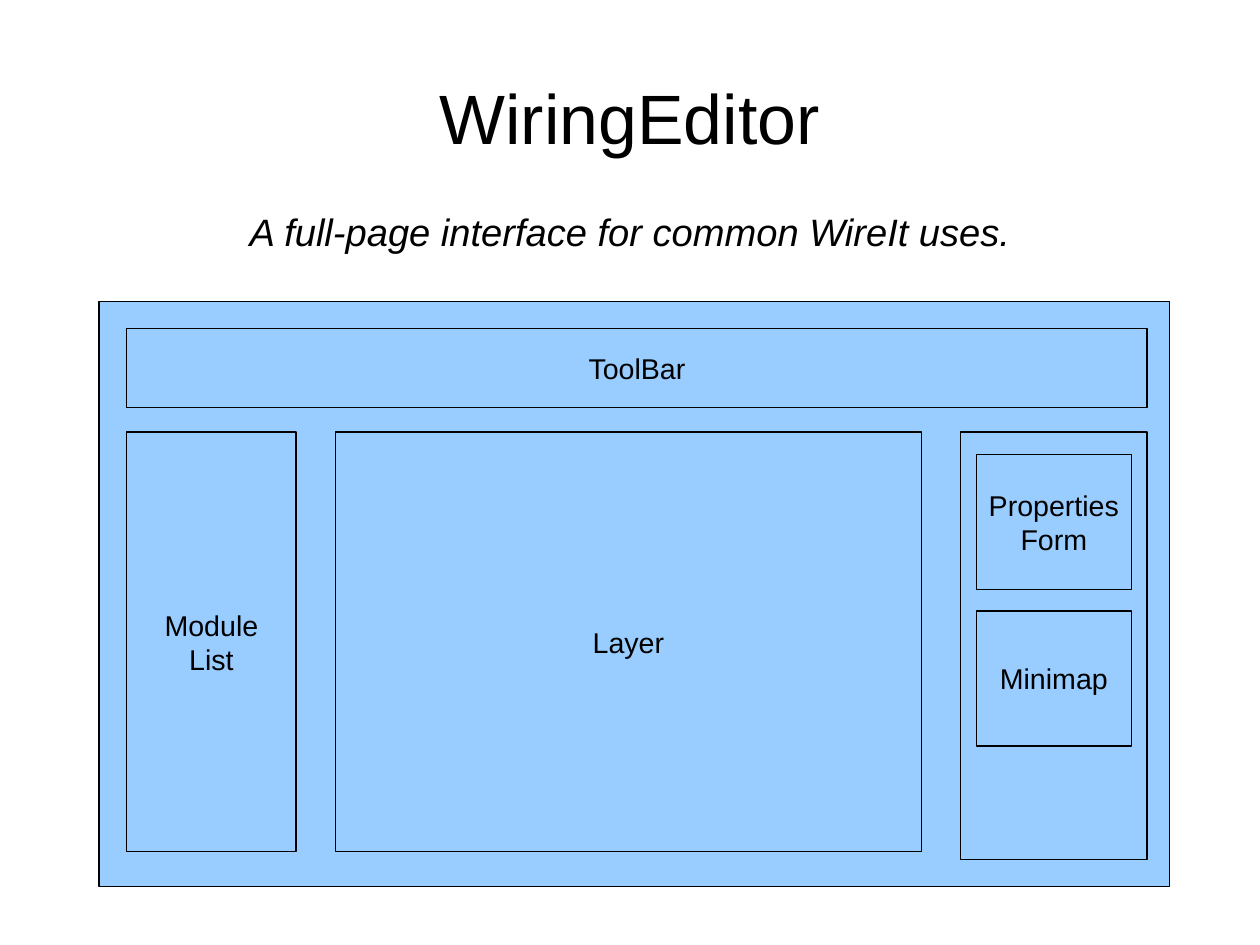
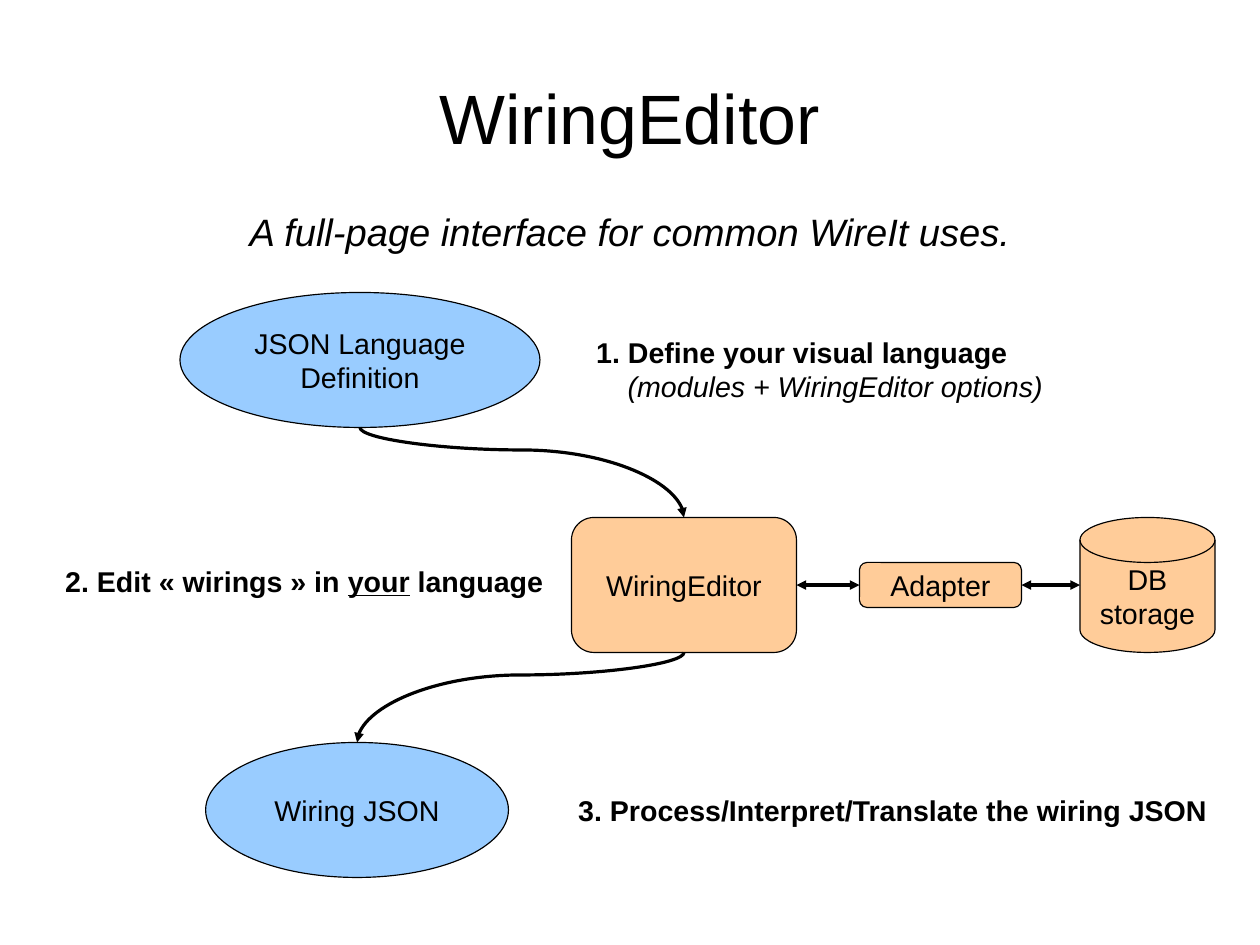
from dataclasses import dataclass

from lxml.etree import SubElement
from pptx import Presentation
from pptx.dml.color import RGBColor
from pptx.enum.shapes import MSO_CONNECTOR as LINE, MSO_SHAPE as SHAPE
from pptx.enum.text import MSO_ANCHOR as ANCHOR, MSO_AUTO_SIZE as AUTOSIZE, PP_ALIGN as ALIGN
from pptx.oxml.ns import qn
from pptx.util import Cm, Pt


@dataclass(frozen=True)
class Theme:
    """Colours, font and type sizes of the deck."""

    ink: RGBColor = RGBColor(0, 0, 0)
    blue: RGBColor = RGBColor(0x99, 0xCC, 0xFF)
    orange: RGBColor = RGBColor(0xFF, 0xCC, 0x99)
    font: str = "Arial"
    title: int = 44
    subtitle: int = 24
    body: int = 18


THEME = Theme()
COLS, ROWS = 28, 21
SLIDE_W, SLIDE_H = Cm(COLS), Cm(ROWS)
BOLD = {"bold": True}
ITALIC = {"italic": True}


def grid(col, row):
    """Return the slide position of a grid column and row."""
    return round(SLIDE_W * col / COLS), round(SLIDE_H * row / ROWS)


def place(left, top, width, height):
    """Return a grid rectangle as slide lengths."""
    return (*grid(left, top), *grid(width, height))


def write(tf, paragraphs, size, align):
    """Fill a text frame with paragraphs given as lists of (text, format) runs."""
    for i, runs in enumerate(paragraphs):
        p = tf.add_paragraph() if i else tf.paragraphs[0]
        p.alignment = align
        for text, extra in runs:
            r = p.add_run()
            r.text = text
            r.font.color.rgb = THEME.ink
            for name, value in {"name": THEME.font, "size": Pt(size), **extra}.items():
                setattr(r.font, name, value)


def add_text(s, area, paragraphs, size=THEME.body, align=ALIGN.LEFT):
    """Add a wrapped text box and return its text frame."""
    tf = s.shapes.add_textbox(*place(*area)).text_frame
    tf.word_wrap = True
    write(tf, paragraphs, size, align)
    return tf


def add_box(s, kind, area, fill, label=""):
    """Add an outlined shape with a centred label."""
    sp = s.shapes.add_shape(kind, *place(*area))
    sp.shadow.inherit = False
    sp.fill.solid()
    sp.fill.fore_color.rgb = fill
    sp.line.color.rgb = THEME.ink
    sp.line.width = Pt(0)
    if label:
        sp.text_frame.vertical_anchor = ANCHOR.MIDDLE
        lines = [[(line, {})] for line in label.split("\n")]
        write(sp.text_frame, lines, THEME.body, ALIGN.CENTER)
    return sp


def add_arrow(s, kind, start, end, heads):
    """Add a hairline connector with triangles at the named ends."""
    c = s.shapes.add_connector(kind, *start, *end)
    c.line.color.rgb = THEME.ink
    c.line.width = Pt(0)
    ln = c.line._get_or_add_ln()
    for head in heads:
        SubElement(ln, qn(f"a:{head}"), type="triangle")
    SubElement(c._element.spPr, qn("a:effectLst"))
    return c


def link_sideways(s, left, right, joined=True):
    """Draw a two-way arrow from one shape's right side to another's left side."""
    y = left.top + left.height // 2
    c = add_arrow(s, LINE.STRAIGHT, (left.left + left.width, y), (right.left, y),
                  ("headEnd", "tailEnd"))
    c.begin_connect(left, 3)
    if joined:
        c.end_connect(right, 1)


def curve_down(s, upper, lower):
    """Draw a curved arrow from a shape's bottom to a lower shape's top."""
    x1, y1 = upper.left + upper.width // 2, upper.top + upper.height
    x2, y2 = lower.left + lower.width // 2, lower.top
    c = add_arrow(s, LINE.CURVE, (0, 0), (1, 1), ("tailEnd",))
    drop, span = y2 - y1, abs(x2 - x1)
    box = {"left": (x1 + x2 - drop) // 2, "top": (y1 + y2 - span) // 2,
           "width": drop, "height": span, "rotation": 270 if x2 > x1 else 90}
    xfrm = c._element.spPr.find(qn("a:xfrm"))
    if x2 > x1:
        xfrm.set("flipH", "1")
    xfrm.set("rot", str(box.pop("rotation") * 60000))
    for name, value in box.items():
        setattr(c, name, value)
    guides = c._element.spPr.find(qn("a:prstGeom")).get_or_add_avLst()
    SubElement(guides, qn("a:gd"), name="adj1", fmla="val 25000")


def add_slide(prs):
    """Add a slide with the shared title and subtitle."""
    s = prs.slides.add_slide(prs.slide_layouts[5])
    title = s.shapes.title
    title.left, title.top, title.width, title.height = place(1.4, 0.97, 25.2, 3.25)
    tf = title.text_frame
    frame = {"auto_size": AUTOSIZE.NONE, "vertical_anchor": ANCHOR.MIDDLE, "margin_left": 0,
             "margin_top": 0, "margin_right": 0, "margin_bottom": 0}
    for name, value in frame.items():
        setattr(tf, name, value)
    write(tf, [[("WiringEditor", {})]], THEME.title, ALIGN.CENTER)
    add_text(s, (2.5, 4.5, 23, 1.2),
             [[("A full-page interface for common WireIt uses.", ITALIC)]],
             THEME.subtitle, ALIGN.CENTER)
    return s


def build_layout_slide(prs):
    """Show the panes of the editor page."""
    s = add_slide(prs)
    left, top, gap, inset = 2.82, 9.6, 0.87, 0.35
    panes = [(3.76, 9.33, "Module\nList"), (13.03, 9.33, "Layer"), (4.14, 9.5, "")]
    full = sum(width for width, _, _ in panes) + gap * (len(panes) - 1)
    add_box(s, SHAPE.RECTANGLE, (2.2, 6.7, 23.8, 13), THEME.blue)
    add_box(s, SHAPE.RECTANGLE, (left, 7.3, full, 1.75), THEME.blue, "ToolBar")
    for width, height, label in panes:
        add_box(s, SHAPE.RECTANGLE, (left, top, width, height), THEME.blue, label)
        left += width + gap
    card_w = width - 2 * inset
    card_left = left - gap - width + inset
    for i, label in enumerate(("Properties\nForm", "Minimap")):
        add_box(s, SHAPE.RECTANGLE, (card_left, top + 0.5 + 3.48 * i, card_w, 3),
                THEME.blue, label)


def build_flow_slide(prs):
    """Show the three steps from language definition to wiring."""
    s = add_slide(prs)
    definition = add_box(s, SHAPE.OVAL, (4, 6.5, 8, 3), THEME.blue, "JSON Language Definition")
    wiring = add_box(s, SHAPE.OVAL, (4.57, 16.5, 6.73, 3), THEME.blue, "Wiring JSON")
    editor, adapter, storage = [
        add_box(s, kind, area, THEME.orange, label) for kind, area, label in (
            (SHAPE.FLOWCHART_ALTERNATE_PROCESS, (12.7, 11.5, 5, 3), "WiringEditor"),
            (SHAPE.FLOWCHART_ALTERNATE_PROCESS, (19.1, 12.5, 3.6, 1), "Adapter"),
            (SHAPE.FLOWCHART_MAGNETIC_DISK, (24, 11.5, 3, 3), "DB\nstorage"))]
    curve_down(s, definition, editor)
    curve_down(s, editor, wiring)
    link_sideways(s, editor, adapter)
    link_sideways(s, adapter, storage, joined=False)
    tf = add_text(s, (13, 7.32, 13.77, 1.68),
                  [[("1. Define your visual language", BOLD)],
                   [("(modules + WiringEditor options)", ITALIC)]])
    tf.paragraphs[1]._p.get_or_add_pPr().set("marL", str(Cm(0.7)))
    add_text(s, (1.2, 12.4, 11.5, 0.97),
             [[("2. Edit « wirings » in ", BOLD), ("your", {**BOLD, "underline": True}),
               (" language", BOLD)]])
    tf = add_text(s, (12.6, 17.5, 14.48, 0.97),
                  [[("3. Process/Interpret/Translate the wiring JSON", BOLD)]])
    tf.word_wrap = False


def main():
    """Build and save the deck."""
    prs = Presentation()
    prs.slide_width, prs.slide_height = SLIDE_W, SLIDE_H
    build_layout_slide(prs)
    build_flow_slide(prs)
    prs.save("out.pptx")


if __name__ == "__main__":
    main()
